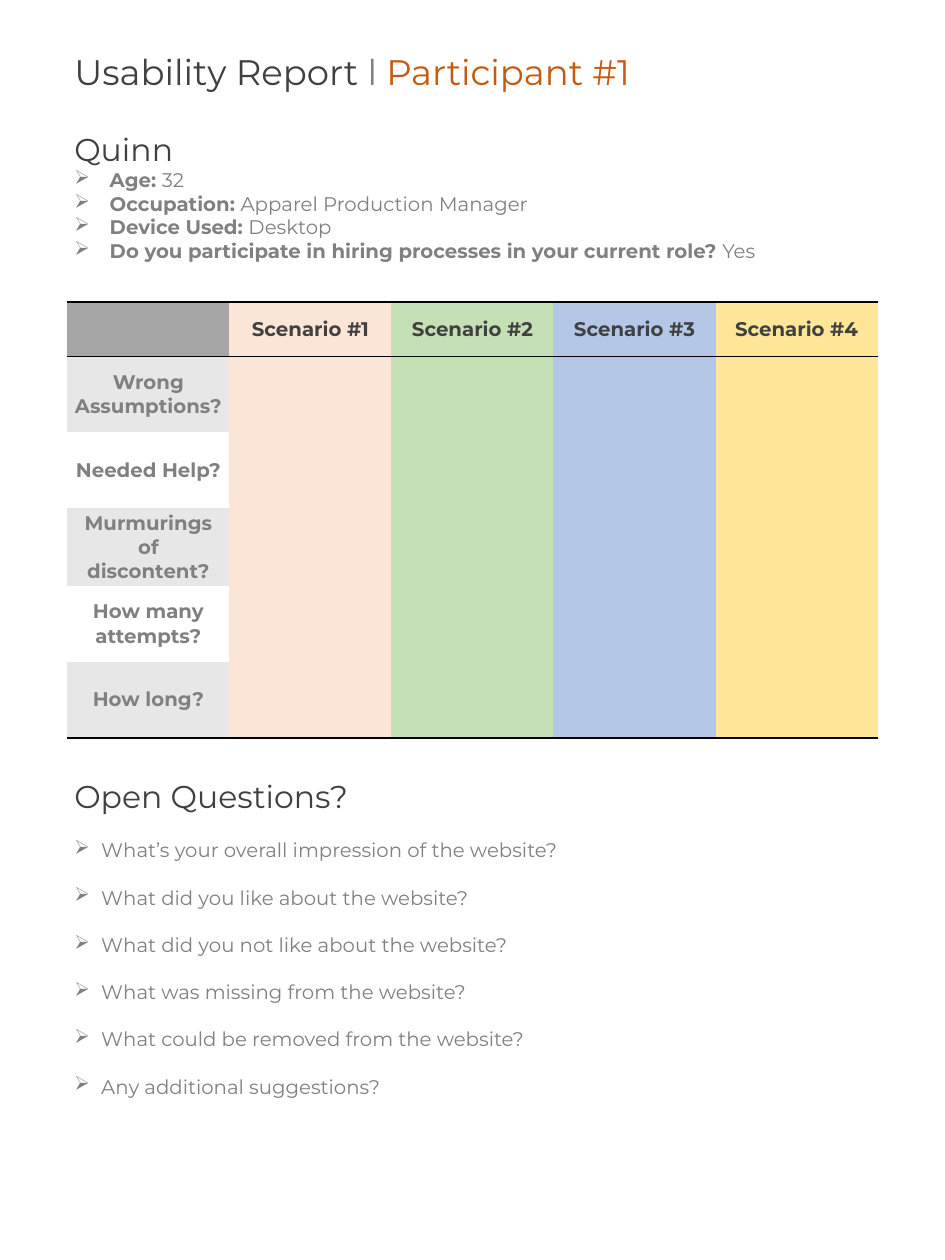
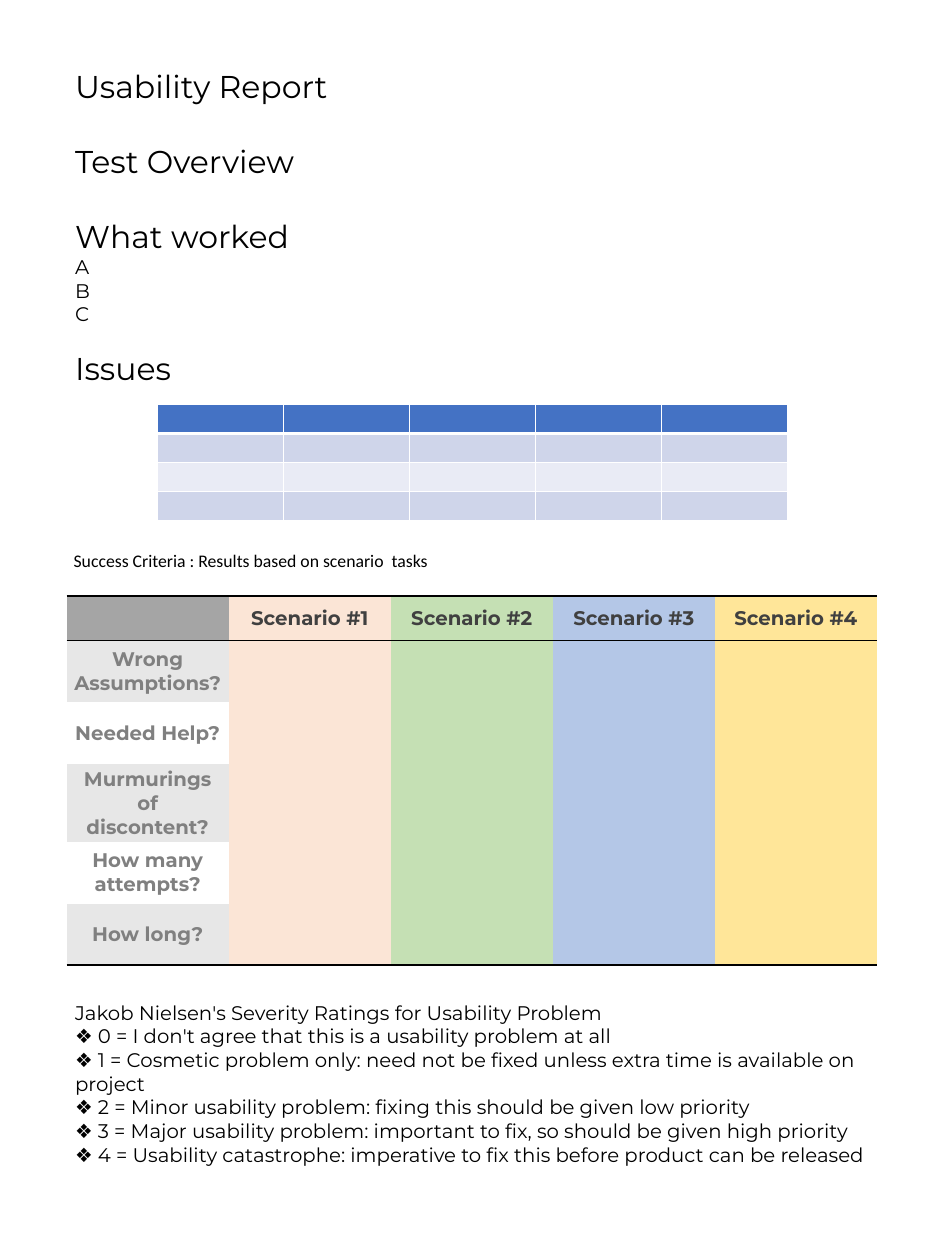
from lxml import etree
from pptx import Presentation
from pptx.dml.color import RGBColor
from pptx.enum.text import MSO_ANCHOR, MSO_AUTO_SIZE, PP_ALIGN
from pptx.oxml.ns import qn
from pptx.util import Emu, Pt

CENTER = PP_ALIGN.CENTER
MIDDLE = MSO_ANCHOR.MIDDLE
GROW = MSO_AUTO_SIZE.SHAPE_TO_FIT_TEXT

PX = 9144  # one hundred px to the inch
FONT = "Montserrat"
HEADING, BODY = 32, 20
HEADING_GAP, BODY_GAP = 38, 24  # one line of each size, in points
NO_STYLE = "{2D5ABB26-0587-4C30-8999-92F81FD0307C}"

COLORS = {
    "black": "000000", "white": "FFFFFF", "dark": "404040", "gray": "808080",
    "orange": "C55A11", "corner": "A5A5A5", "stripe": "E7E7E7",
    "blue": "4472C4", "band1": "CFD5EA", "band2": "E9EBF5",
}
SCENARIO_FILLS = ["FBE5D6", "C5E0B4", "B4C7E7", "FFE699"]
MEASURES = ["Wrong Assumptions?", "Needed Help?", "Murmurings of discontent?",
            "How many attempts?", "How long?"]


def px(n):
    return Emu(n * PX)


def add_run(p, text, size, color, bold=False, font=FONT):
    r = p.add_run()
    r.text = text
    r.font.size = Pt(size)
    r.font.name = font
    r.font.bold = bold
    r.font.color.rgb = RGBColor.from_string(COLORS[color])


def add_bullet(p, indent):
    pPr = p._p.get_or_add_pPr()
    pPr.set("marL", str(px(indent)))
    pPr.set("indent", str(-px(indent)))
    etree.SubElement(pPr, qn("a:buChar")).set("char", "➢")


def para(*runs, gap=0, indent=0):
    """Describe a paragraph: its runs, the space above it, its bullet indent."""
    return runs, gap, indent


def add_text(slide, box, paras):
    tf = slide.shapes.add_textbox(*map(px, box)).text_frame
    tf.word_wrap = True
    tf.auto_size = GROW
    for i, (runs, gap, indent) in enumerate(paras):
        p = tf.paragraphs[0] if i == 0 else tf.add_paragraph()
        p.space_before = Pt(gap)
        if indent:
            add_bullet(p, indent)
        for run in runs:
            add_run(p, *run)


def set_cell(cell, fill, borders):
    """Fill a cell; borders maps a side (L, R, T, B) to (colour, points)."""
    tcPr = cell._tc.get_or_add_tcPr()
    for side in "LRTB":
        ln = etree.SubElement(tcPr, qn("a:ln" + side))
        if side in borders:
            color, width = borders[side]
            ln.set("w", str(Pt(width)))
            solid = etree.SubElement(ln, qn("a:solidFill"))
            etree.SubElement(solid, qn("a:srgbClr")).set("val", COLORS[color])
        else:
            ln.set("w", "0")
            etree.SubElement(ln, qn("a:noFill"))
    cell.fill.solid()
    cell.fill.fore_color.rgb = RGBColor.from_string(fill)


def add_grid(slide, box, cols, row_heights):
    left, top, width = box
    frame = slide.shapes.add_table(len(row_heights), cols, px(left), px(top),
                                   px(width), px(sum(row_heights)))
    table = frame.table
    table._tbl.tblPr.find(qn("a:tableStyleId")).text = NO_STYLE
    table.first_row = table.horz_banding = False
    for col in table.columns:
        col.width = px(width) // cols
    for row, height in zip(table.rows, row_heights):
        row.height = px(height)
    return table


def scenario_table(slide, box, header_h, row_h):
    rows = len(MEASURES) + 1
    table = add_grid(slide, box, len(SCENARIO_FILLS) + 1,
                     [header_h] + [row_h] * len(MEASURES))
    rule = ("black", 2)
    for r in range(rows):
        borders = {}
        if r == 0:
            borders["T"] = rule
        if r == 1:
            borders["T"] = rule
        if r in (0, rows - 1):
            borders["B"] = rule
        side = "corner" if r == 0 else "stripe" if r % 2 else "white"
        for c, fill in enumerate([COLORS[side]] + SCENARIO_FILLS):
            cell = table.cell(r, c)
            set_cell(cell, fill, borders)
            if (r == 0) == (c == 0):
                continue
            text = MEASURES[r - 1] if c == 0 else f"Scenario #{c}"
            cell.vertical_anchor = MIDDLE
            p = cell.text_frame.paragraphs[0]
            p.alignment = CENTER
            add_run(p, text, BODY, "gray" if c == 0 else "dark", True)


def issues_table(slide, box, row_h):
    cols = 5
    fills = ["blue", "band1", "band2", "band1"]
    table = add_grid(slide, box, cols, [row_h] * len(fills))
    for r, fill in enumerate(fills):
        borders = dict.fromkeys("LRTB", ("white", 1))
        if r < 2:
            borders["B" if r == 0 else "T"] = ("white", 3)
        for c in range(cols):
            set_cell(table.cell(r, c), COLORS[fill], borders)


def participant_slide(slide):
    # Title and profile
    profile = [
        ("Age: ", "32"),
        ("Occupation: ", "Apparel Production Manager"),
        ("Device Used: ", "Desktop"),
        ("Do you participate in hiring processes in your current role? ", "Yes"),
    ]
    add_text(slide, (95, 66, 1143, 367), [
        para(("Usability Report ", 36, "dark"), ("l ", 36, "gray"),
             ("Participant #1", 36, "orange")),
        para(("Quinn", HEADING, "dark"), gap=HEADING_GAP),
    ] + [para((label, BODY, "gray", True), (value, BODY, "gray"), indent=50)
         for label, value in profile])

    # Scenario results
    scenario_table(slide, (95, 426, 1143), 77, 107)

    # Open questions
    questions = [
        "What’s your overall impression of the website?",
        "What did you like about the website?",
        "What did you not like about the website?",
        "What was missing from the website?",
        "What could be removed from the website?",
        "Any additional suggestions?",
    ]
    add_text(slide, (95, 1091, 1143, 522), [
        para(("Open Questions?", HEADING, "dark")),
    ] + [para((q, BODY, "gray"), gap=BODY_GAP, indent=38) for q in questions])


def overview_slide(slide):
    # Headings
    add_text(slide, (96, 89, 1141, 468), [
        para(("Usability Report", HEADING, "black")),
        para(("Test Overview", HEADING, "black"), gap=HEADING_GAP),
        para(("What worked", HEADING, "black"), gap=HEADING_GAP),
    ] + [para((item, BODY, "black")) for item in "ABC"] + [
        para(("Issues", HEADING, "black"), gap=BODY_GAP),
    ])

    # Issues and scenario results
    issues_table(slide, (222, 571, 889), 41)
    add_text(slide, (94, 771, 571, 40), [
        para(("Success Criteria : Results based on scenario  tasks",
              18, "black", False, "Calibri")),
    ])
    scenario_table(slide, (94, 841, 1143), 63, 87)

    # Severity ratings
    ratings = [
        "Jakob Nielsen's Severity Ratings for Usability Problem",
        "❖ 0 = I don't agree that this is a usability problem at all",
        "❖ 1 = Cosmetic problem only: need not be fixed unless extra time is "
        "available on project",
        "❖ 2 = Minor usability problem: fixing this should be given low priority",
        "❖ 3 = Major usability problem: important to fix, so should be given "
        "high priority",
        "❖ 4 = Usability catastrophe: imperative to fix this before product "
        "can be released",
    ]
    add_text(slide, (96, 1407, 1141, 246),
             [para((line, BODY, "black")) for line in ratings])


def main():
    prs = Presentation()
    prs.slide_width, prs.slide_height = px(1333), px(1778)
    blank = prs.slide_layouts[6]
    for build in (participant_slide, overview_slide):
        build(prs.slides.add_slide(blank))
    prs.save("out.pptx")


if __name__ == "__main__":
    main()
